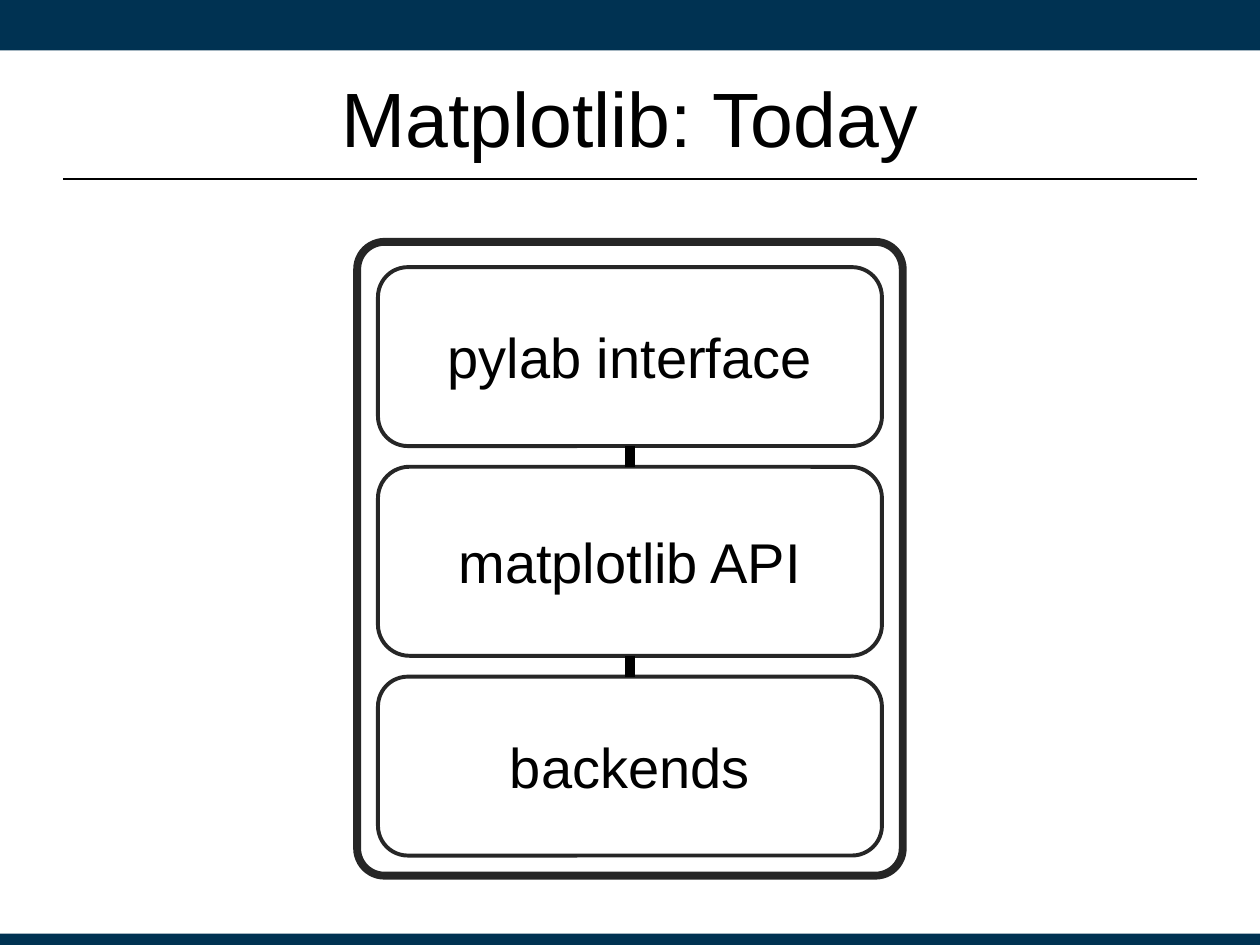
from dataclasses import dataclass
from itertools import pairwise

from lxml import etree
from pptx import Presentation
from pptx import util as u
from pptx.dml.color import RGBColor
from pptx.enum import shapes, text
from pptx.oxml.ns import qn


@dataclass(frozen=True)
class Theme:
    """Colours, font and sizes used on the slide."""
    band: str = "003252"
    ink: str = "000000"
    outline: str = "262626"
    font: str = "Arial"
    title_size: float = 44
    layer_size: float = 32
    frame_width: float = 4.5
    layer_width: float = 2.25
    link_width: float = 6
    rule_width: float = 1.25


THEME = Theme()
WIDTH, HEIGHT = 10, 7.5
MARGIN = 0.05 * WIDTH
CENTRE = WIDTH / 2
LAYER_TOP, LAYER_GAP = 2.12, 0.165
LAYERS = (("pylab interface", 1.42), ("matplotlib API", 1.5), ("backends", 1.42))


def set_attributes(target, values):
    """Set each named attribute on the target."""
    for name, value in values.items():
        setattr(target, name, value)


def write(shape, wording, size):
    """Write one centred line of text in a shape."""
    frame = shape.text_frame
    set_attributes(frame, {"word_wrap": True, "vertical_anchor": text.MSO_ANCHOR.MIDDLE})
    paragraph = frame.paragraphs[0]
    paragraph.alignment = text.PP_ALIGN.CENTER
    run = paragraph.add_run()
    run.text = wording
    set_attributes(run.font, {"name": THEME.font, "size": u.Pt(size)})
    run.font.color.rgb = RGBColor.from_string(THEME.ink)


def style_line(line, colour, width):
    """Give a line its colour and width."""
    line.color.rgb = RGBColor.from_string(colour)
    line.width = u.Pt(width)


def add_band(slide, top, height):
    """Add a full-width coloured band."""
    band = slide.shapes.add_shape(
        shapes.MSO_SHAPE.RECTANGLE, 0, u.Inches(top), u.Inches(WIDTH), u.Inches(height))
    band.shadow.inherit = False
    band.fill.solid()
    band.fill.fore_color.rgb = RGBColor.from_string(THEME.band)
    band.line.fill.background()


def add_title(slide, wording):
    """Add the centred slide title."""
    box = slide.shapes.add_textbox(
        *map(u.Inches, (MARGIN, 0.3, WIDTH - 2 * MARGIN, 1.25)))
    write(box, wording, THEME.title_size)


def add_rounded(slide, top, width, height, line_width, corner=1 / 6):
    """Add an unfilled rounded box centred across the slide."""
    box = slide.shapes.add_shape(
        shapes.MSO_SHAPE.ROUNDED_RECTANGLE,
        *map(u.Inches, (CENTRE - width / 2, top, width, height)))
    box.shadow.inherit = False
    box.adjustments[0] = corner
    box.fill.background()
    style_line(box.line, THEME.outline, line_width)
    return box


def add_line(slide, start, end, width):
    """Add a straight line between two points."""
    line = slide.shapes.add_connector(
        shapes.MSO_CONNECTOR.STRAIGHT, *map(u.Inches, (*start, *end)))
    style_line(line.line, THEME.ink, width)
    etree.SubElement(line.element.spPr, qn("a:effectLst"))
    return line


def add_stack(slide):
    """Add the layers from top to bottom and link each to the next."""
    boxes, top = [], LAYER_TOP
    for wording, height in LAYERS:
        box = add_rounded(slide, top, 0.4 * WIDTH, height, THEME.layer_width)
        write(box, wording, THEME.layer_size)
        boxes.append(box)
        top += height + LAYER_GAP
    for upper, lower in pairwise(boxes):
        link = add_line(slide, (CENTRE, 0), (CENTRE, 0), THEME.link_width)
        link.begin_connect(upper, 2)
        link.end_connect(lower, 0)


def main():
    """Build and save the slide."""
    presentation = Presentation()
    set_attributes(presentation, {
        "slide_width": u.Inches(WIDTH), "slide_height": u.Inches(HEIGHT)})
    slide = presentation.slides.add_slide(presentation.slide_layouts[6])
    add_band(slide, 0, 0.4)
    add_band(slide, 7.41, 0.09)
    add_title(slide, "Matplotlib: Today")
    add_rounded(slide, 1.92, 4.33, 5.03, THEME.frame_width, 0.05)
    add_stack(slide)
    add_line(slide, (MARGIN, 1.42), (WIDTH - MARGIN, 1.42), THEME.rule_width)
    presentation.save("out.pptx")


if __name__ == "__main__":
    main()
